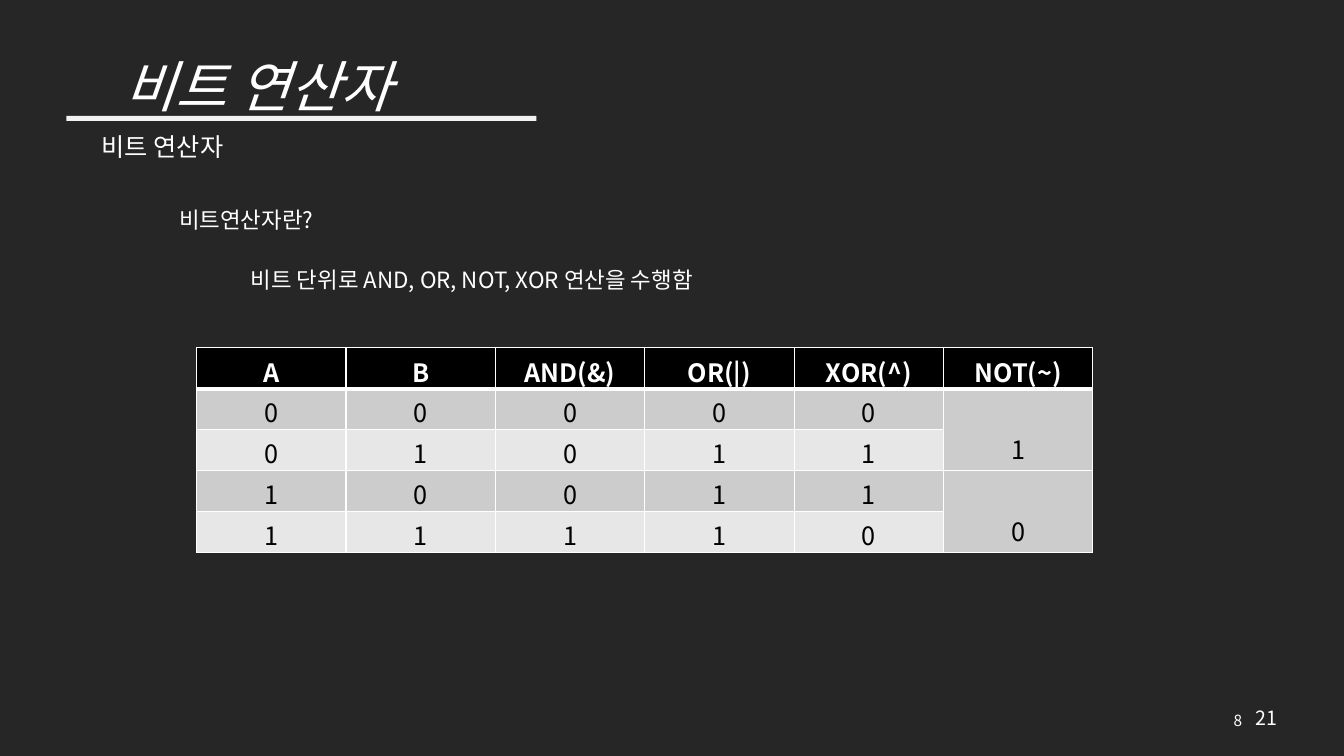
from dataclasses import dataclass

from lxml import etree
from pptx import Presentation
from pptx.dml.color import RGBColor
from pptx.enum.shapes import MSO_SHAPE
from pptx.enum.text import MSO_ANCHOR, MSO_AUTO_SIZE, PP_ALIGN
from pptx.oxml.ns import qn
from pptx.util import Pt

RECT = MSO_SHAPE.RECTANGLE
LEFT, MID, RIGHT = PP_ALIGN.LEFT, PP_ALIGN.CENTER, PP_ALIGN.RIGHT
TOP, CENTER = MSO_ANCHOR.TOP, MSO_ANCHOR.MIDDLE
FIXED = MSO_AUTO_SIZE.NONE
PX = 9144
TITLE_ONLY = 5


@dataclass(frozen=True)
class Theme:
    font: str = "Noto Sans CJK KR"
    latin: str = "Calibri"
    back: str = "262626"
    white: str = "FFFFFF"
    black: str = "000000"
    bar: str = "F2F2F2"
    bands: tuple = ("CCCCCC", "E7E7E7")
    title: float = 39.6
    head: int = 18
    body: int = 16
    page: int = 14
    note: int = 11
    thin: int = 1
    thick: int = 3


class Deck:
    def __init__(self, theme, width, height):
        self.theme = theme
        self.file = Presentation()
        self.file.slide_width = width * PX
        self.file.slide_height = height * PX
        self.slide = self.file.slides.add_slide(self.file.slide_layouts[TITLE_ONLY])
        self.paint(self.slide.background.fill, theme.back)

    def paint(self, fill, color):
        fill.solid()
        fill.fore_color.rgb = RGBColor.from_string(color)

    def style(self, frame, size, color, align, font=None, bold=False, slant=False):
        for line in frame.paragraphs:
            line.alignment = align
            for run in line.runs:
                face = run.font
                face.name = font or self.theme.font
                face.size = Pt(size)
                face.bold = bold
                face.italic = slant
                face.color.rgb = RGBColor.from_string(color)
                east = etree.SubElement(run._r.get_or_add_rPr(), qn("a:ea"))
                east.set("typeface", self.theme.font)

    def title(self, text, left, top, width, height):
        shape = self.slide.shapes.title
        shape.left, shape.top = left * PX, top * PX
        shape.width, shape.height = width * PX, height * PX
        frame = shape.text_frame
        frame.text = text
        frame.auto_size = FIXED
        frame.vertical_anchor = CENTER
        frame.paragraphs[0].line_spacing = 0.9
        self.style(frame, self.theme.title, self.theme.white, MID, slant=True)

    def text(self, text, left, top, width, height, size,
             align=LEFT, anchor=TOP, font=None, wrap=True):
        box = self.slide.shapes.add_textbox(left * PX, top * PX, width * PX, height * PX)
        frame = box.text_frame
        frame.text = text
        frame.word_wrap = wrap
        frame.vertical_anchor = anchor
        self.style(frame, size, self.theme.white, align, font)

    def bar(self, left, top, width, height):
        shape = self.slide.shapes.add_shape(RECT, left * PX, top * PX, width * PX, height * PX)
        shape.shadow.inherit = False
        shape.line.fill.background()
        self.paint(shape.fill, self.theme.bar)

    def edge(self, cell, side, width):
        props = cell._tc.get_or_add_tcPr()
        line = etree.SubElement(props, qn(f"a:ln{side}"), w=str(Pt(width)))
        fill = etree.SubElement(line, qn("a:solidFill"))
        etree.SubElement(fill, qn("a:srgbClr"), val=self.theme.white)

    def cell(self, cell, text, row, drop):
        theme = self.theme
        head = row == 0
        cell.text = text
        cell.margin_top = drop * PX
        cell.margin_bottom = 0
        for side in "LRTB":
            heavy = (side, row) in (("B", 0), ("T", 1))
            self.edge(cell, side, theme.thick if heavy else theme.thin)
        self.paint(cell.fill, theme.black if head else theme.bands[(row - 1) % 2])
        color = theme.white if head else theme.black
        self.style(cell.text_frame, theme.head, color, MID, bold=head)

    def table(self, rows, spans, left, top, width, height):
        count, cols = len(rows), len(rows[0])
        grid = self.slide.shapes.add_table(
            count, cols, left * PX, top * PX, width * PX, height * PX).table
        for row, items in enumerate(rows):
            for col, item in enumerate(items):
                drop = 41 if (row, col) in spans else 5
                self.cell(grid.cell(row, col), item, row, drop)
        for row, col in spans:
            grid.cell(row, col).merge(grid.cell(row + 1, col))


def main():
    theme = Theme()
    deck = Deck(theme, 1333, 750)
    deck.text("21", 1235, 695, 42, 34, theme.page, wrap=False)
    deck.title("비트 연산자", 66, 57, 380, 63)
    deck.text("8", 1116, 695, 126, 40, theme.note, RIGHT, CENTER)
    deck.bar(66, 115, 466, 5)
    deck.text("비트 연산자", 91, 125, 286, 40, theme.head, font=theme.latin)
    deck.text("비트연산자란?", 168, 200, 165, 37, theme.body, wrap=False)
    deck.text("비트 단위로 AND, OR, NOT, XOR 연산을 수행함", 239, 259, 508, 37, theme.body)
    rows = [["A", "B", "AND(&)", "OR(|)", "XOR(^)", "NOT(~)"]]
    for a in (0, 1):
        for b in (0, 1):
            flip = "" if b else str(1 - a)
            rows.append([str(bit) for bit in (a, b, a & b, a | b, a ^ b)] + [flip])
    deck.table(rows, [(1, 5), (3, 5)], 195, 345, 889, 203)
    deck.file.save("out.pptx")


if __name__ == "__main__":
    main()
